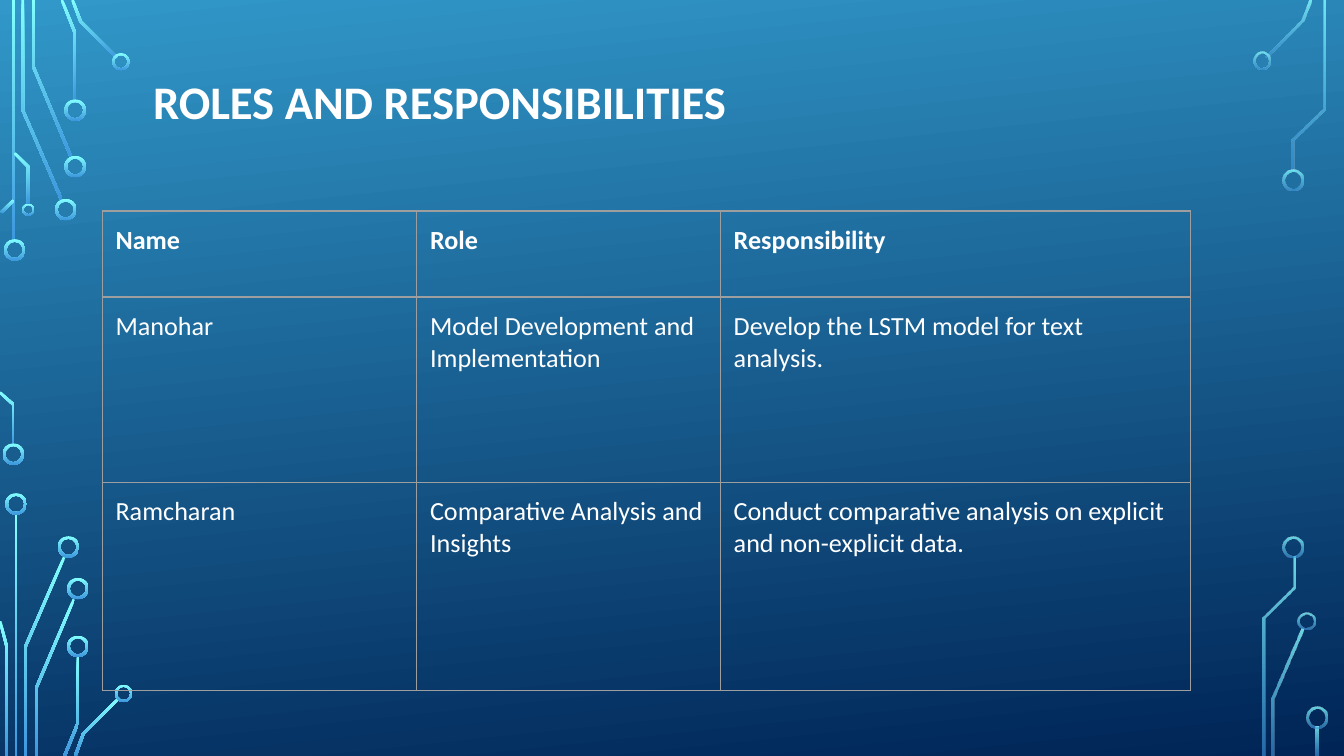
"""Builds the roles and responsibilities slide with its circuit-board decoration."""
import math

from lxml import etree
from pptx import Presentation
from pptx import util as u
from pptx.dml import color
from pptx.enum import shapes, text
from pptx.oxml import ns

COLORS = {
    "sky": "3198C9",
    "navy": "002456",
    "cyan": "82FFFF",
    "blue": "3D97DE",
    "white": "FFFFFF",
    "border": "9E9E9E",
}
FONT = "Calibri"
WIDTH = 10
HEIGHT = WIDTH * 9 / 16
TRACE_WIDTH = 0.02
FADED = (80, 60)

LEFT_TRACES = [
    [(0.1, 0), (0.1, 1.79)],
    [(0.17, 0), (0.17, 0.82), (0.46, 1.49)],
    [(0.25, 0), (0.25, 0.5), (0.53, 1.17)],
    [(0.46, 0), (0.56, 0.25), (0.56, 0.75)],
    [(0.54, 0), (0.6, 0.16), (0.87, 0.43)],
    [(0.01, 1.58), (0.1, 1.49)],
    [(0, 2.92), (0.1, 3.01), (0.1, 3.31)],
    [(0.11, 1.14), (0.21, 1.24), (0.21, 1.52)],
    [(0.12, 3.82), (0.12, HEIGHT)],
    [(0.19, HEIGHT), (0.19, 4.81), (0.48, 4.14)],
    [(0, 4.62), (0.05, 4.81), (0.05, HEIGHT)],
    [(0.27, HEIGHT), (0.27, 5.12), (0.55, 4.46)],
    [(0.48, HEIGHT), (0.58, 5.38), (0.58, 4.88)],
    [(0.56, HEIGHT), (0.62, 5.46), (0.88, 5.2)],
]
LEFT_RINGS = [
    (0.11, 1.86, 0.16), (0.1, 3.38, 0.16), (0.49, 1.56, 0.16),
    (0.56, 1.24, 0.16), (0.56, 0.82, 0.16), (0.9, 0.46, 0.13),
    (0.21, 1.56, 0.09), (0.12, 3.75, 0.16), (0.51, 4.07, 0.16),
    (0.58, 4.38, 0.16), (0.58, 4.81, 0.16), (0.92, 5.16, 0.13),
]
RIGHT_TRACES = [
    [(9.42, 0.42), (9.69, 0.15), (9.75, 0)],
    [(9.47, HEIGHT), (9.47, 5.2), (9.69, 4.68)],
    [(9.85, 0), (9.85, 0.81), (9.62, 1.04), (9.62, 1.27)],
    [(9.4, HEIGHT), (9.4, 4.6), (9.63, 4.37), (9.63, 4.14)],
    [(9.8, 5.41), (9.8, HEIGHT)],
]
RIGHT_RINGS = [
    (9.39, 0.45, 0.13), (9.62, 1.34, 0.16), (9.72, 4.62, 0.13),
    (9.62, 4.07, 0.16), (9.8, 5.34, 0.16),
]

COLUMNS = [2.34, 2.26, 3.5]
ROWS = [0.64, 1.38, 1.55]
ROLES = [
    ["Name", "Role", "Responsibility"],
    ["Manohar", "Model Development and Implementation",
     "Develop the LSTM model for text analysis."],
    ["Ramcharan", "Comparative Analysis and Insights",
     "Conduct comparative analysis on explicit and non-explicit data."],
]


def rgb(name):
    """Return the named colour."""
    return color.RGBColor.from_string(COLORS[name])


def fill_gradient(fill, start, end, angle):
    """Apply a two-colour gradient running at a clockwise angle."""
    fill.gradient()
    fill.gradient_angle = 360 - angle
    for stop, name in zip(fill.gradient_stops, (start, end)):
        stop.color.rgb = rgb(name)


def style_circuit(shape, opacity):
    """Give a circuit part its glow gradient, without line or shadow."""
    shape.shadow.inherit = False
    shape.line.fill.background()
    fill_gradient(shape.fill, "cyan", "blue", 90)
    if opacity:
        stops = shape._element.spPr.iter(ns.qn("a:srgbClr"))
        for stop, percent in zip(stops, opacity):
            etree.SubElement(stop, ns.qn("a:alpha"), val=str(percent * 1000))


def offset_points(points, distance):
    """Shift a polyline sideways, with mitred corners."""
    normals = []
    for (x1, y1), (x2, y2) in zip(points, points[1:]):
        length = math.hypot(x2 - x1, y2 - y1)
        normals.append(((y1 - y2) / length, (x2 - x1) / length))
    befores = normals[:1] + normals
    afters = normals + normals[-1:]
    shifted = []
    for (x, y), (ax, ay), (bx, by) in zip(points, befores, afters):
        scale = distance / (1 + ax * bx + ay * by)
        shifted.append((x + (ax + bx) * scale, y + (ay + by) * scale))
    return shifted


def add_trace(slide, points, opacity):
    """Draw a circuit trace as a ribbon along its centre line."""
    half = TRACE_WIDTH / 2
    outline = offset_points(points, half) + offset_points(points, -half)[::-1]
    corners = [(u.Inches(x), u.Inches(y)) for x, y in outline]
    builder = slide.shapes.build_freeform(*corners[0])
    builder.add_line_segments(corners[1:], close=True)
    style_circuit(builder.convert_to_shape(), opacity)


def add_ring(slide, x, y, diameter, opacity):
    """Draw a circuit node as a ring around its centre."""
    corner = (u.Inches(x - diameter / 2), u.Inches(y - diameter / 2))
    size = u.Inches(diameter)
    shape = slide.shapes.add_shape(shapes.MSO_SHAPE.DONUT, *corner, size, size)
    shape.adjustments[0] = 0.12
    style_circuit(shape, opacity)


def add_circuit(slide, traces, rings, opacity=None):
    """Draw one side of the circuit decoration."""
    for points in traces:
        add_trace(slide, points, opacity)
    for x, y, diameter in rings:
        add_ring(slide, x, y, diameter, opacity)


def write_text(frame, content, size, bold=False, spacing=None):
    """Write one formatted paragraph into a text frame."""
    frame.word_wrap = True
    frame.margin_left = frame.margin_right = u.Inches(0.1)
    frame.margin_top = frame.margin_bottom = u.Inches(0.1)
    frame.vertical_anchor = text.MSO_ANCHOR.TOP
    paragraph = frame.paragraphs[0]
    paragraph.line_spacing = spacing
    run = paragraph.add_run()
    run.text = content
    run.font.name = FONT
    run.font.size = u.Pt(size)
    run.font.bold = bold
    run.font.color.rgb = rgb("white")


def add_borders(cell):
    """Draw a thin line on all four sides of a cell."""
    properties = cell._tc.get_or_add_tcPr()
    for index, side in enumerate(("lnL", "lnR", "lnT", "lnB")):
        line = etree.Element(ns.qn(f"a:{side}"), w=str(u.Pt(0.75)))
        fill = etree.SubElement(line, ns.qn("a:solidFill"))
        etree.SubElement(fill, ns.qn("a:srgbClr"), val=COLORS["border"])
        properties.insert(index, line)


def add_roles_table(slide):
    """Add the table of names, roles and responsibilities."""
    table = slide.shapes.add_table(
        len(ROWS), len(COLUMNS), u.Inches(0.76), u.Inches(1.57),
        u.Inches(sum(COLUMNS)), u.Inches(sum(ROWS))).table
    table.first_row = table.horz_banding = False
    for column, width in zip(table.columns, COLUMNS):
        column.width = u.Inches(width)
    for index, (row, height) in enumerate(zip(table.rows, ROWS)):
        row.height = u.Inches(height)
        for cell, content in zip(row.cells, ROLES[index]):
            cell.fill.background()
            add_borders(cell)
            write_text(cell.text_frame, content, 14, bold=index == 0)
            cell.margin_left = cell.margin_right = u.Inches(0.1)
            cell.margin_top = cell.margin_bottom = u.Inches(0.1)


def main():
    """Build and save the slide."""
    presentation = Presentation()
    presentation.slide_width = u.Inches(WIDTH)
    presentation.slide_height = u.Inches(HEIGHT)
    slide = presentation.slides.add_slide(presentation.slide_layouts[6])
    fill_gradient(slide.background.fill, "sky", "navy", 84)
    add_circuit(slide, LEFT_TRACES, LEFT_RINGS)
    add_circuit(slide, RIGHT_TRACES, RIGHT_RINGS, FADED)
    title = slide.shapes.add_textbox(
        u.Inches(1.04), u.Inches(0.49), u.Inches(8.62), u.Inches(0.63))
    write_text(title.text_frame, "ROLES AND RESPONSIBILITIES", 25, bold=True, spacing=0.9)
    add_roles_table(slide)
    presentation.save("out.pptx")


if __name__ == "__main__":
    main()
